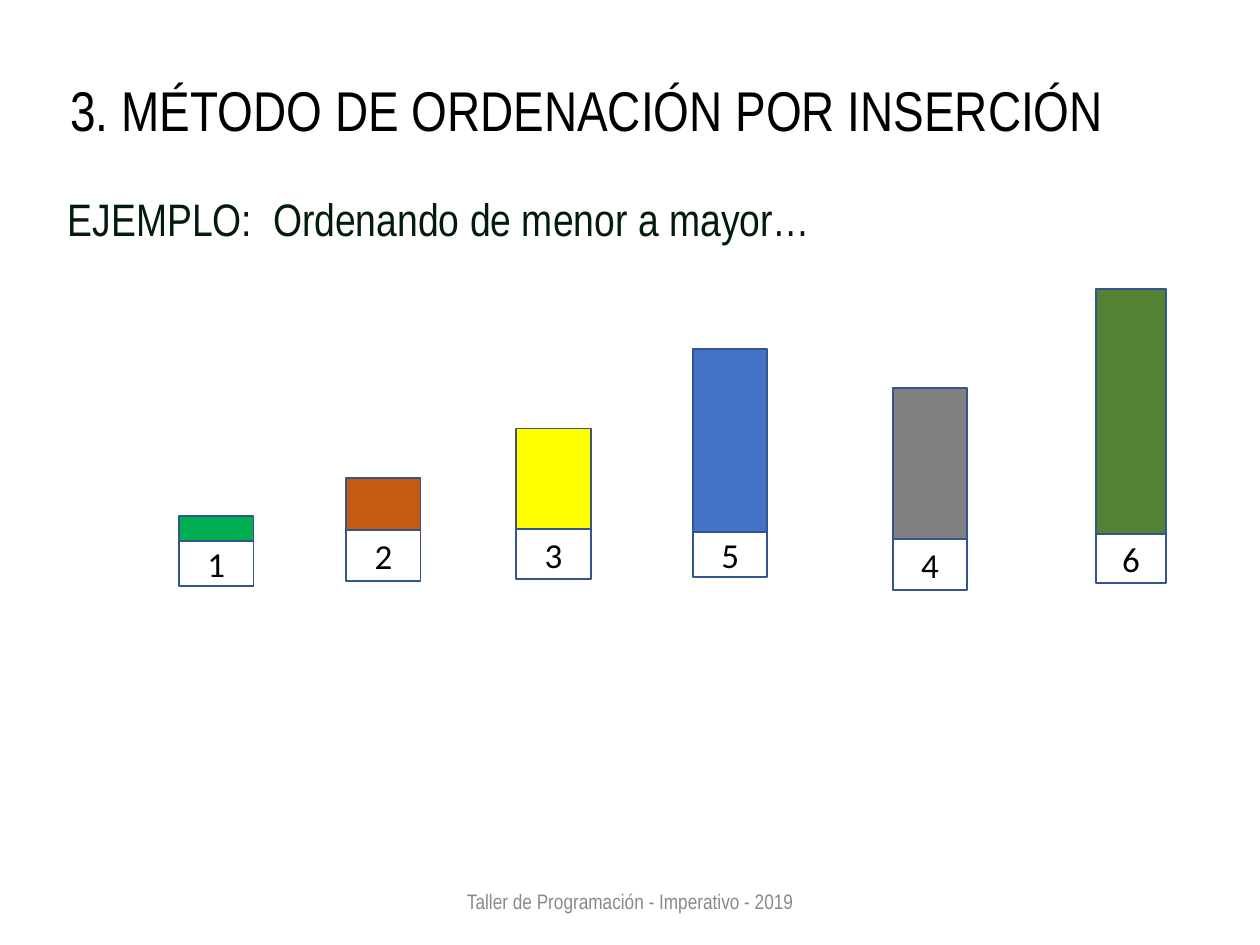
from pptx import Presentation
from pptx.dml.color import RGBColor
from pptx.enum.shapes import MSO_SHAPE
from pptx.enum.text import MSO_ANCHOR, MSO_AUTO_SIZE, PP_ALIGN
from pptx.util import Cm, Pt

BLACK = RGBColor(0x00, 0x00, 0x00)
DARK_GREEN = RGBColor(0x01, 0x1D, 0x09)
FOOTER_GRAY = RGBColor(0x89, 0x89, 0x89)
OUTLINE = RGBColor(0x32, 0x54, 0x91)
SLATE = RGBColor(0x44, 0x54, 0x6A)
GREEN = RGBColor(0x00, 0xB0, 0x50)
ORANGE = RGBColor(0xC5, 0x5A, 0x11)
YELLOW = RGBColor(0xFF, 0xFF, 0x00)
BLUE = RGBColor(0x44, 0x72, 0xC4)
GRAY = RGBColor(0x80, 0x80, 0x80)
OLIVE = RGBColor(0x54, 0x82, 0x35)

# Content
TITLE = "3. MÉTODO DE ORDENACIÓN POR INSERCIÓN"
EXAMPLE = "EJEMPLO:  Ordenando de menor a mayor…"
FOOTER = "Taller de Programación - Imperativo - 2019"

# Number, bar colour, bar outline, then in cm: left, width, top, label top, bottom
BARS = [
    ("1", GREEN, OUTLINE, 3.61, 1.5, 10.41, 10.9, 11.81),
    ("2", ORANGE, OUTLINE, 6.98, 1.5, 9.63, 10.69, 11.71),
    ("3", YELLOW, SLATE, 10.41, 1.5, 8.64, 10.67, 11.68),
    ("5", BLUE, OUTLINE, 13.97, 1.5, 7.03, 10.72, 11.63),
    ("4", GRAY, OUTLINE, 18, 1.5, 7.82, 10.87, 11.89),
    ("6", OLIVE, OUTLINE, 22.1, 1.4, 5.82, 10.77, 11.76),
]


def write(box, text, font, size, color, align, anchor):
    frame = box.text_frame
    frame.word_wrap = True
    frame.auto_size = MSO_AUTO_SIZE.NONE
    frame.vertical_anchor = anchor
    para = frame.paragraphs[0]
    para.alignment = align
    span = para.add_run()
    span.text = text
    span.font.name = font
    span.font.size = Pt(size)
    span.font.color.rgb = color
    return para


def add_box(group, left, top, width, height, line, fill=None):
    box = group.shapes.add_shape(
        MSO_SHAPE.RECTANGLE, Cm(left), Cm(top), Cm(width), Cm(height))
    box.shadow.inherit = False
    box.line.color.rgb = line
    box.line.width = Pt(1)
    if fill is None:
        box.fill.background()
    else:
        box.fill.solid()
        box.fill.fore_color.rgb = fill
    return box


deck = Presentation()
deck.slide_width, deck.slide_height = Cm(25.4), Cm(19.05)
page = deck.slides.add_slide(deck.slide_layouts[5])

# Title
title = page.shapes.title
title.left, title.top, title.width, title.height = Cm(0.89), Cm(0.91), Cm(21.9), Cm(2.11)
heading = write(title, TITLE, "Arial Narrow", 32, BLACK, PP_ALIGN.CENTER, MSO_ANCHOR.BOTTOM)
heading.line_spacing = 0.9

# Example line and footer
example = page.shapes.add_textbox(Cm(1.12), Cm(3.73), Cm(16.61), Cm(1.37))
write(example, EXAMPLE, "Arial Narrow", 26, DARK_GREEN, PP_ALIGN.LEFT, MSO_ANCHOR.TOP)
footer = page.shapes.add_textbox(Cm(8.41), Cm(17.65), Cm(8.59), Cm(1.02))
write(footer, FOOTER, "Arial Narrow", 12, FOOTER_GRAY, PP_ALIGN.CENTER, MSO_ANCHOR.MIDDLE)

# Bars, each grouped with its number
for number, fill, line, left, width, top, label_top, bottom in BARS:
    group = page.shapes.add_group_shape()
    add_box(group, left, top, width, label_top - top, line, fill)
    label = add_box(group, left, label_top, width, bottom - label_top, OUTLINE)
    write(label, number, "Calibri", 20, BLACK, PP_ALIGN.CENTER, MSO_ANCHOR.MIDDLE)

deck.save("out.pptx")
